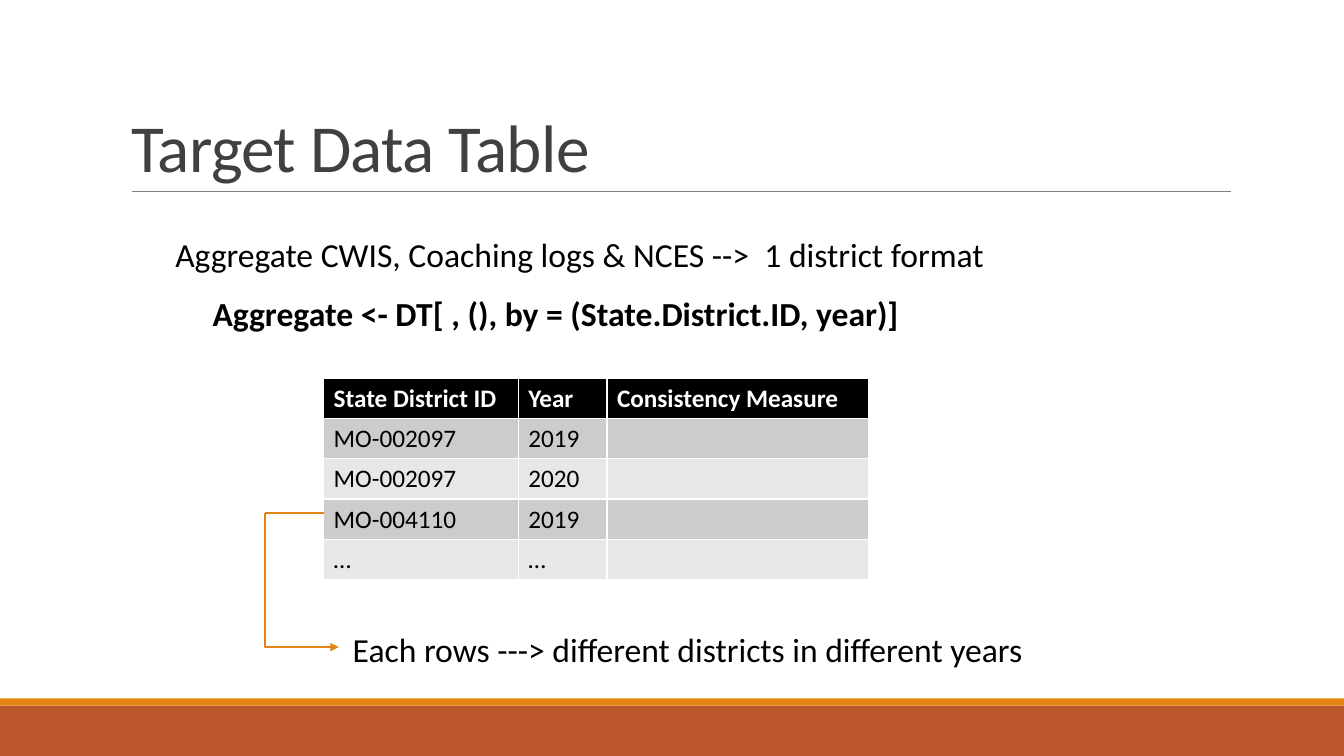
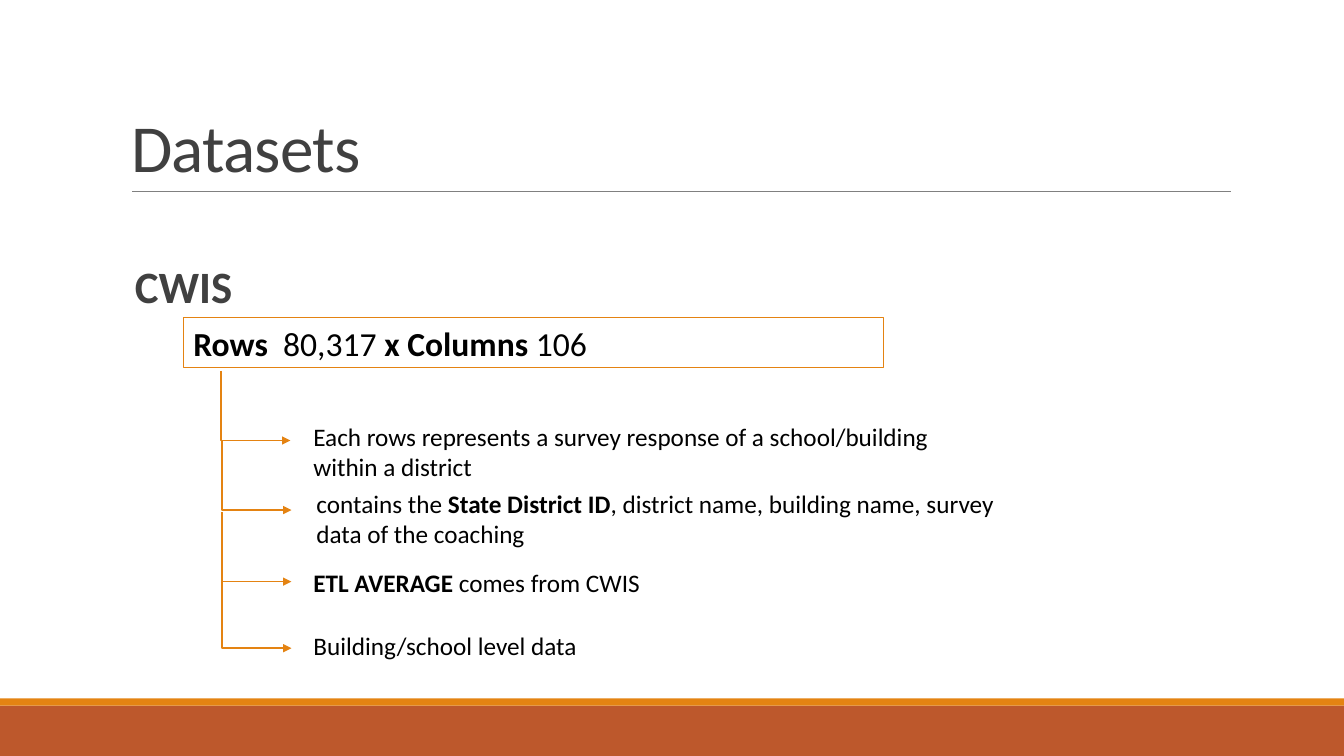
from lxml import etree
from pptx import Presentation
from pptx.dml.color import RGBColor
from pptx.enum.shapes import MSO_CONNECTOR, MSO_SHAPE
from pptx.enum.text import MSO_ANCHOR, PP_ALIGN
from pptx.oxml.ns import qn
from pptx.util import Inches, Pt

RECT = MSO_SHAPE.RECTANGLE
LINE, ELBOW = MSO_CONNECTOR.STRAIGHT, MSO_CONNECTOR.ELBOW
LEFT, BOTTOM = PP_ALIGN.LEFT, MSO_ANCHOR.BOTTOM
FONT = "Calibri"
HUES = {
    "rust": "BD582C", "orange": "E48312", "rule": "808080",
    "title": "404040", "black": "000000", "white": "FFFFFF",
    "dark": "CCCCCC", "light": "E7E7E7",
}
TONES = {name: RGBColor.from_string(hue) for name, hue in HUES.items()}


def write(frame, text, size=18, color="black", spacing=None, track=0):
    """Fill a text frame; parts between ** marks are bold."""
    frame.word_wrap = True
    para = frame.paragraphs[0]
    para.alignment = LEFT
    para.line_spacing = spacing
    for i, part in enumerate(text.split("**")):
        if not part:
            continue
        run = para.add_run()
        run.text = part
        font = run.font
        font.name, font.size, font.bold = FONT, Pt(size), i % 2 == 1
        font.color.rgb = TONES[color]
        if track:
            run._r.get_or_add_rPr().set("spc", str(track))


def wire(slide, kind, start, end, color="orange", width=1):
    """Draw a straight line, or an elbow arrow that goes down, then right."""
    ends = [Inches(n) for n in (*start, *end)]
    link = slide.shapes.add_connector(kind, *ends)
    link.line.color.rgb = TONES[color]
    link.line.width = Pt(width)
    props = link._element.spPr
    if kind == ELBOW:
        guides = props.find(qn("a:prstGeom")).find(qn("a:avLst"))
        etree.SubElement(guides, qn("a:gd"), name="adj1", fmla="val 0")
        etree.SubElement(props.get_or_add_ln(), qn("a:tailEnd"), type="triangle")
    etree.SubElement(props, qn("a:effectLst"))


deck = Presentation()
deck.slide_width, deck.slide_height = Inches(13.33), Inches(7.5)

# Shared bands, rule and title
slides = []
for name in ("Target Data Table", "Datasets"):
    slide = deck.slides.add_slide(deck.slide_layouts[5])
    for top, high, hue in ((7, 0.5, "rust"), (6.93, 0.07, "orange")):
        band = slide.shapes.add_shape(
            RECT, 0, Inches(top), deck.slide_width, Inches(high))
        band.shadow.inherit = False
        band.fill.solid()
        band.fill.fore_color.rgb = TONES[hue]
        band.line.fill.background()
    wire(slide, LINE, (1.31, 1.9), (12.21, 1.9), color="rule", width=0.5)
    title = slide.shapes.title
    title.left, title.top = Inches(1.2), Inches(0.31)
    title.width, title.height = Inches(11), Inches(1.59)
    title.text_frame.vertical_anchor = BOTTOM
    write(title.text_frame, name, size=48, color="title", spacing=0.85, track=-50)
    slides.append(slide)
target, data = slides

# Text boxes: slide, left, top, width, height, size, colour, text
notes = (
    (target, 1.64, 2.27, 10.56, 0.5, 24, "black",
     "Aggregate CWIS, Coaching logs & NCES -->  1 district format"),
    (target, 2.01, 2.86, 10.37, 0.5, 24, "black",
     "**Aggregate <- DT[ , (), by = (State.District.ID, year)]**"),
    (target, 3.4, 6.19, 7.6, 0.5, 24, "black",
     "Each rows ---> different districts in different years"),
    (data, 1.24, 2.52, 8.77, 0.63, 32, "title", "**CWIS**"),
    (data, 3.01, 4.13, 6.57, 0.71, 18, "black",
     "Each rows represents a survey response of a school/building "
     "within a district"),
    (data, 3.04, 4.79, 7.27, 0.81, 18, "black",
     "contains the **State District ID**, district name, building name, "
     "survey data of the coaching"),
    (data, 3.01, 5.58, 6.13, 0.4, 18, "black",
     "**ETL AVERAGE **comes from CWIS"),
    (data, 3.01, 6.2, 4.35, 0.4, 18, "black", "Building/school level data"),
)
for slide, left, top, wide, high, size, hue, text in notes:
    note = slide.shapes.add_textbox(
        Inches(left), Inches(top), Inches(wide), Inches(high))
    write(note.text_frame, text, size=size, color=hue)

# Target table and the arrow from one of its rows
rows = (
    ("**State District ID**", "**Year**", "**Consistency Measure**"),
    ("MO-002097", "2019", ""),
    ("MO-002097", "2020", ""),
    ("MO-004110", "2019", ""),
    ("…", "…", ""),
)
widths = (1.93, 0.88, 2.6)
grid = target.shapes.add_table(
    len(rows), len(widths), Inches(3.21), Inches(3.75),
    Inches(sum(widths)), Inches(2)).table
for col, wide in zip(grid.columns, widths):
    col.width = Inches(wide)
for r, row in enumerate(rows):
    shade = "black" if r == 0 else ("light", "dark")[r % 2]
    for c, text in enumerate(row):
        cell = grid.cell(r, c)
        cell.fill.solid()
        cell.fill.fore_color.rgb = TONES[shade]
        write(cell.text_frame, text, color="black" if r else "white")
wire(target, ELBOW, (2.63, 5.09), (3.36, 6.42))
wire(target, LINE, (2.63, 5.09), (3.21, 5.09))

# Size of the dataset, with an arrow to each fact
size_box = data.shapes.add_shape(
    RECT, Inches(1.82), Inches(3.15), Inches(6.94), Inches(0.5))
size_box.shadow.inherit = False
size_box.fill.background()
size_box.line.color.rgb = TONES["orange"]
size_box.line.width = Pt(0.75)
write(size_box.text_frame, "**Rows  **80,317** x Columns **106", size=24)
step = 0.69
for x, y in ((2.19, 3.68), (2.2, 4.37), (2.2, 5.08), (2.2, 5.74)):
    wire(data, ELBOW, (x, y), (x + step, y + step))

deck.save("out.pptx")
